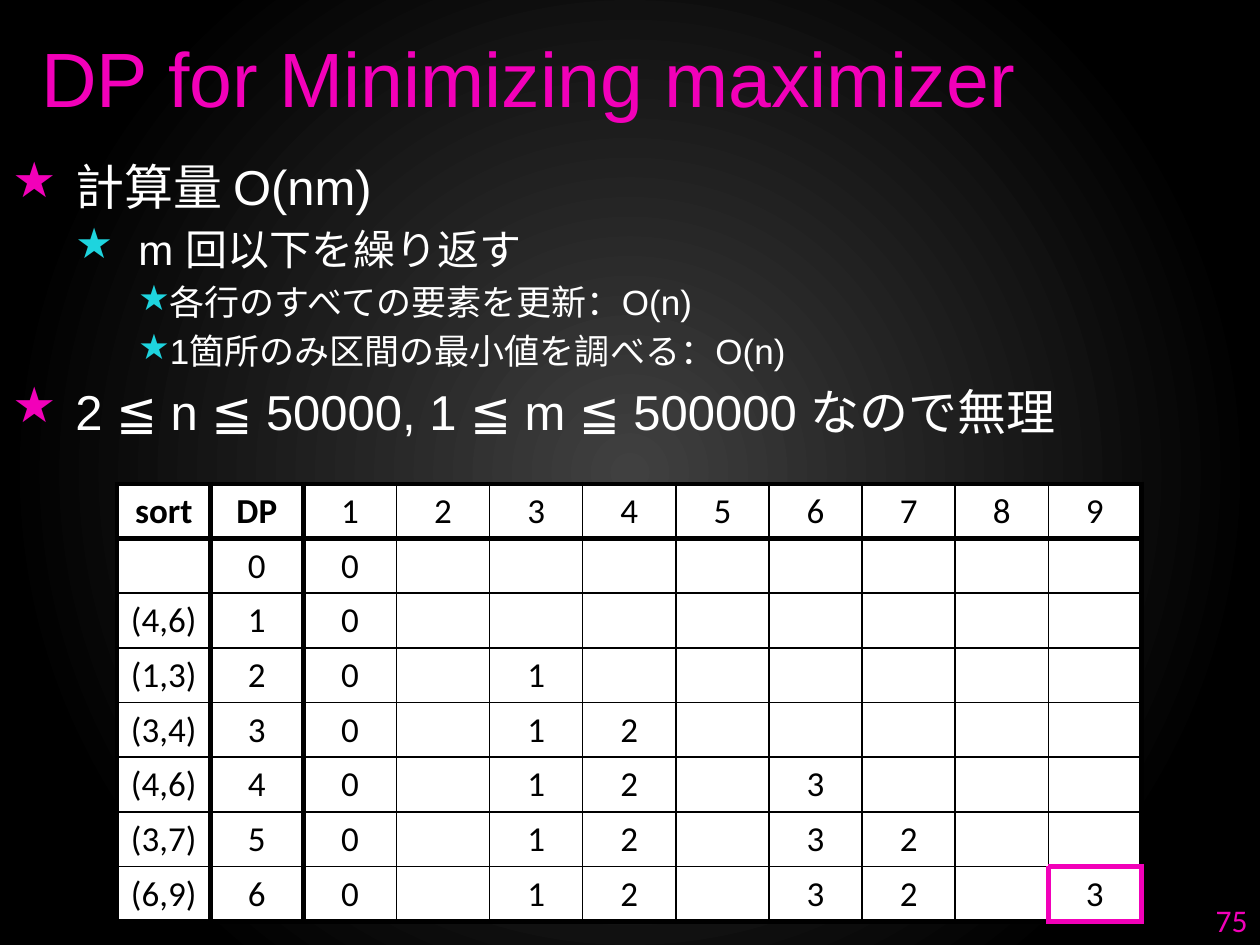
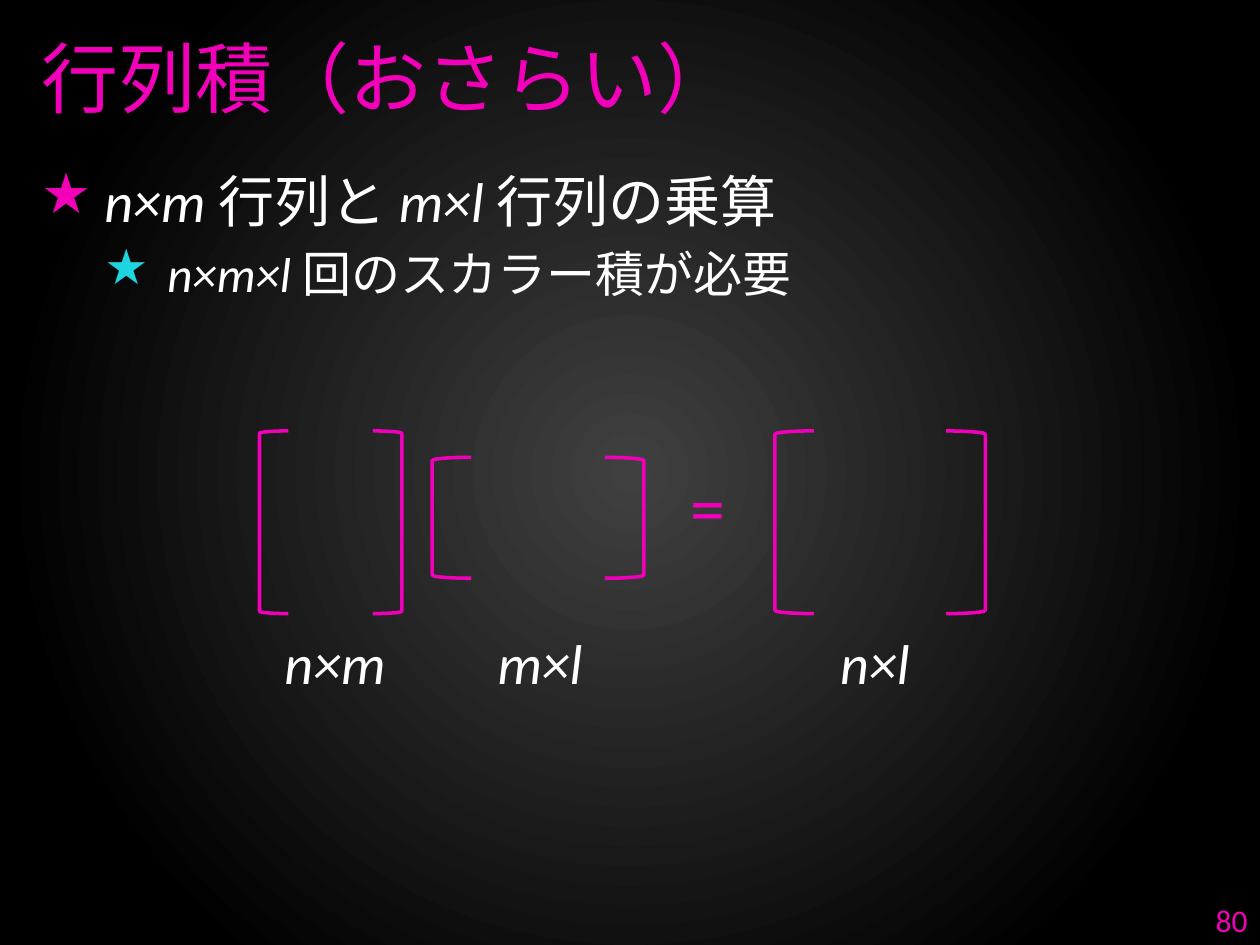
from dataclasses import dataclass
from typing import NamedTuple

from lxml.etree import SubElement
from pptx import Presentation
from pptx.dml.color import RGBColor
from pptx.enum.shapes import MSO_SHAPE
from pptx.enum.text import MSO_ANCHOR, MSO_AUTO_SIZE, PP_ALIGN
from pptx.oxml import parse_xml
from pptx.oxml.ns import nsdecls, qn
from pptx.util import Inches, Pt

PINK, CYAN, WHITE, BLACK, GRAY = "F200B9", "1ED4DE", "FFFFFF", "000000", "404040"
HEADING, BODY = "Arial", "Calibri"


class Box(NamedTuple):
    left: float
    top: float
    width: float
    height: float


class Level(NamedTuple):
    margin: float
    hanging: float
    color: str


class Span(NamedTuple):
    text: str
    font: str = HEADING
    italic: bool = False


@dataclass
class Bullet:
    level: int
    size: int
    spans: list[Span]


@dataclass
class Matrix:
    box: Box
    bracket_width: float
    label: str
    label_box: Box


LEVELS = [Level(0.5, 0.5, PINK), Level(1, 0.5, CYAN), Level(1.25, 0.25, CYAN)]
TITLE_BOX = Box(0.23, 0.13, 9.56, 0.96)
NUMBER_BOX = Box(7.67, 7.1, 2.33, 0.4)
TABLE_BOX = Box(0.93, 3.84, 8.13, 3.47)
WIRES = 9
COMPARATORS = [(4, 6), (1, 3), (3, 4), (4, 6), (3, 7), (6, 9)]

COST_BULLETS = [
    Bullet(0, 28, [Span("計算量 O(nm)")]),
    Bullet(1, 24, [Span("m 回以下を繰り返す")]),
    Bullet(2, 20, [Span("各行のすべての要素を更新：O(n)")]),
    Bullet(2, 20, [Span("1箇所のみ区間の最小値を調べる：O(n)")]),
    Bullet(0, 28, [Span("2 ≦ n ≦ 50000, 1 ≦ m ≦ 500000 なので無理")]),
]
PRODUCT_BULLETS = [
    Bullet(0, 32, [Span("n×m ", BODY, True), Span("行列と "),
                   Span("m×l ", BODY, True), Span("行列の乗算", BODY)]),
    Bullet(1, 28, [Span("n×m×l ", BODY, True), Span("回のスカラー積が必要", BODY)]),
]
MATRICES = [
    Matrix(Box(2.06, 3.42, 1.13, 1.45), 0.23, "n×m", Box(2.16, 4.94, 1.14, 0.64)),
    Matrix(Box(3.43, 3.63, 1.68, 0.96), 0.31, "m×l", Box(3.85, 4.94, 1.01, 0.64)),
    Matrix(Box(6.15, 3.42, 1.67, 1.45), 0.31, "n×l", Box(6.57, 4.94, 0.89, 0.64)),
]


def rgb(color: str) -> RGBColor:
    return RGBColor.from_string(color)


def inches(box: Box) -> list[Inches]:
    return [Inches(length) for length in box]


def add_run(p, text: str, size: int, color: str, font: str = BODY, **extra) -> None:
    r = p.add_run()
    r.text = text
    for key, value in {"size": Pt(size), "name": font, **extra}.items():
        setattr(r.font, key, value)
    r.font.color.rgb = rgb(color)


def add_box(s, box: Box, **fmt):
    tf = s.shapes.add_textbox(*inches(box)).text_frame
    for key, value in {"word_wrap": True, **fmt}.items():
        setattr(tf, key, value)
    return tf


def add_label(s, box: Box, text: str, size: int, color: str, italic: bool = False) -> None:
    tf = add_box(s, box, word_wrap=False, auto_size=MSO_AUTO_SIZE.SHAPE_TO_FIT_TEXT)
    add_run(tf.paragraphs[0], text, size, color, italic=italic)


def add_bullets(s, box: Box, bullets: list[Bullet]) -> None:
    tf = add_box(s, box)
    for i, bullet in enumerate(bullets):
        p = tf.add_paragraph() if i else tf.paragraphs[0]
        p.level = bullet.level
        p.space_before = Pt(bullet.size * 0.2)
        level = LEVELS[bullet.level]
        pPr = p._p.get_or_add_pPr()
        pPr.set("marL", str(Inches(level.margin)))
        pPr.set("indent", str(-Inches(level.hanging)))
        SubElement(SubElement(pPr, qn("a:buClr")), qn("a:srgbClr"), val=level.color)
        SubElement(pPr, qn("a:buChar"), char="★")
        for span in bullet.spans:
            add_run(p, span.text, bullet.size, WHITE, span.font, italic=span.italic)


def set_background(master) -> None:
    master.background.fill.solid()
    bgPr = master.element.find(".//" + qn("p:bgPr"))
    bgPr.remove(bgPr[0])
    bgPr.insert(0, parse_xml(
        f'<a:gradFill {nsdecls("a")} rotWithShape="1"><a:gsLst>'
        f'<a:gs pos="0"><a:srgbClr val="{GRAY}"/></a:gs>'
        f'<a:gs pos="80000"><a:srgbClr val="{BLACK}"/></a:gs></a:gsLst>'
        '<a:path path="circle"><a:fillToRect l="50000" t="50000" r="50000" b="50000"/>'
        "</a:path></a:gradFill>"))


def new_slide(prs, title: str, number: int):
    s = prs.slides.add_slide(prs.slide_layouts[6])
    tf = add_box(s, TITLE_BOX, vertical_anchor=MSO_ANCHOR.MIDDLE)
    add_run(tf.paragraphs[0], title, 44, PINK, HEADING)
    tf = add_box(s, NUMBER_BOX, vertical_anchor=MSO_ANCHOR.MIDDLE)
    tf.paragraphs[0].alignment = PP_ALIGN.RIGHT
    add_run(tf.paragraphs[0], str(number), 18, PINK)
    return s


def dp_rows() -> list[list[str]]:
    costs = {1: 0}
    rows = [["sort", "DP", *map(str, range(1, WIRES + 1))]]
    for step, pair in enumerate([None, *COMPARATORS]):
        if pair:
            first, last = pair
            reachable = [costs[w] for w in range(first, last) if w in costs]
            if reachable:
                costs[last] = min(costs.get(last, WIRES), min(reachable) + 1)
        name = f"({pair[0]},{pair[1]})" if pair else ""
        rows.append([name, str(step), *(str(costs.get(w, "")) for w in range(1, WIRES + 1))])
    return rows


def set_borders(cell, row: int, col: int, row_count: int, col_count: int) -> None:
    answer_row, answer_col = row_count - 1, col_count - 1
    tcPr = cell._tc.get_or_add_tcPr()
    edges = [("L", True, col), ("R", True, col + 1), ("T", False, row), ("B", False, row + 1)]
    for i, (side, vertical, edge) in enumerate(edges):
        if vertical:
            thick = edge in (0, 1, 2, col_count)
            pink = row == answer_row and edge >= answer_col
        else:
            thick = edge in (0, 1, row_count)
            pink = col == answer_col and edge >= answer_row
        width = Pt(3 if thick or pink else 1)
        tcPr.insert(i, parse_xml(
            f'<a:ln{side} {nsdecls("a")} w="{width}"><a:solidFill>'
            f'<a:srgbClr val="{PINK if pink else BLACK}"/></a:solidFill></a:ln{side}>'))


def add_dp_table(s) -> None:
    rows = dp_rows()
    row_count, col_count = len(rows), len(rows[0])
    table = s.shapes.add_table(row_count, col_count, *inches(TABLE_BOX)).table
    table.first_row = table.horz_banding = False
    for i, values in enumerate(rows):
        for j, text in enumerate(values):
            cell = table.cell(i, j)
            cell.fill.solid()
            cell.fill.fore_color.rgb = rgb(WHITE)
            set_borders(cell, i, j, row_count, col_count)
            p = cell.text_frame.paragraphs[0]
            p.alignment = PP_ALIGN.CENTER
            if text:
                add_run(p, text, 20, BLACK, bold=i == 0 and j < 2)


def add_matrix(s, matrix: Matrix) -> None:
    left, top, width, height = matrix.box
    right = left + width - matrix.bracket_width
    for kind, x in ((MSO_SHAPE.LEFT_BRACKET, left), (MSO_SHAPE.RIGHT_BRACKET, right)):
        sp = s.shapes.add_shape(kind, *inches(Box(x, top, matrix.bracket_width, height)))
        sp.shadow.inherit = False
        sp.fill.background()
        sp.line.color.rgb = rgb(PINK)
        sp.line.width = Pt(2)
    add_label(s, matrix.label_box, matrix.label, 32, WHITE, italic=True)


def main() -> None:
    prs = Presentation()
    prs.slide_width, prs.slide_height = Inches(10), Inches(7.5)
    set_background(prs.slide_master)

    s = new_slide(prs, "DP for Minimizing maximizer", 75)
    add_bullets(s, Box(0, 1.19, 10.13, 5.68), COST_BULLETS)
    add_dp_table(s)

    s = new_slide(prs, "行列積（おさらい）", 80)
    add_bullets(s, Box(0.23, 1.27, 9.56, 1.69), PRODUCT_BULLETS)
    for matrix in MATRICES:
        add_matrix(s, matrix)
    add_label(s, Box(5.38, 3.63, 0.48, 0.77), "=", 40, PINK)

    prs.save("out.pptx")


if __name__ == "__main__":
    main()
